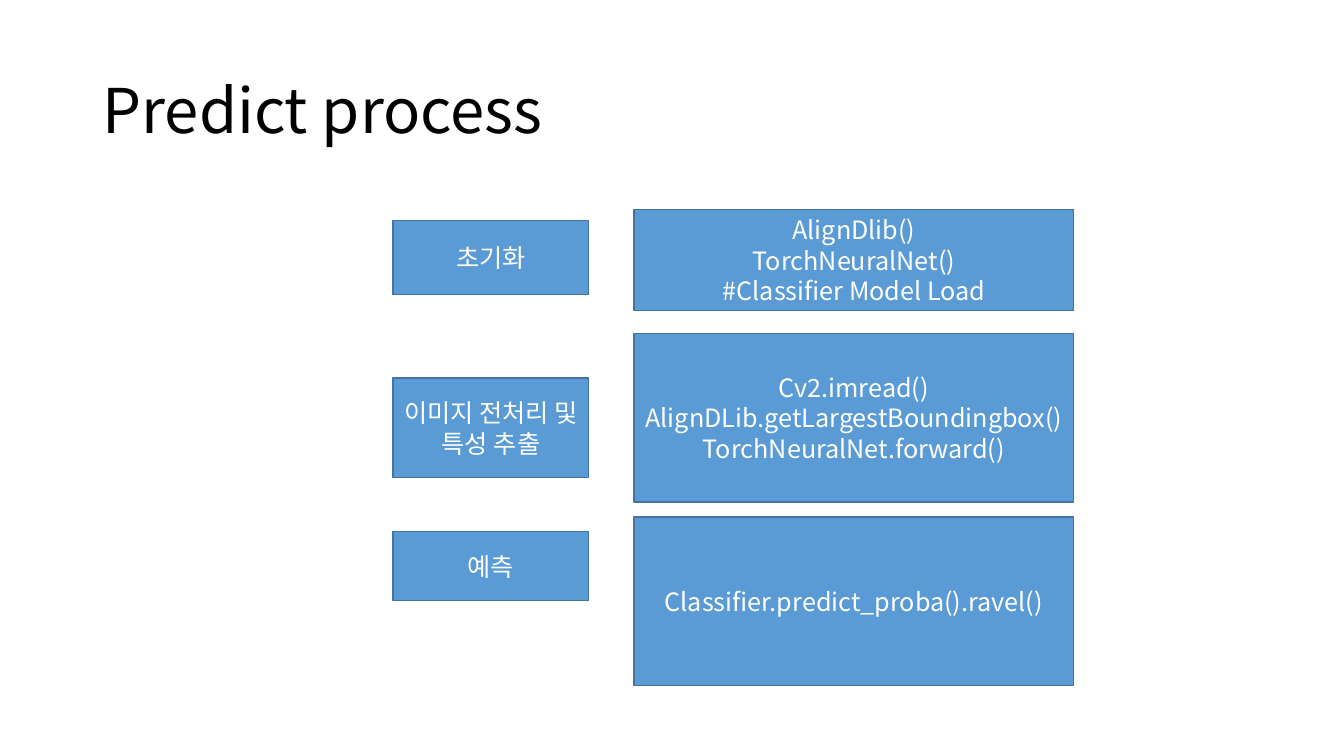
import pptx
import pptx.util
import pptx.dml.color
import pptx.enum.shapes
import pptx.enum.text
import pptx.oxml.ns
from lxml import etree

Inches = pptx.util.Inches
Pt = pptx.util.Pt
RGBColor = pptx.dml.color.RGBColor
ALIGN = pptx.enum.text.PP_ALIGN
qn = pptx.oxml.ns.qn

FONT = "Noto Sans CJK KR"
BLACK = RGBColor(0x00, 0x00, 0x00)
WHITE = RGBColor(0xFF, 0xFF, 0xFF)
BLUE = RGBColor(0x5B, 0x9B, 0xD5)
EDGE = RGBColor(0x43, 0x73, 0x9E)

# Left and width of the two columns
STEP = (3.9, 1.94)
CODE = (6.29, 4.36)

# Each row: step top, height, lines; code top, height, lines
ROWS = [
    (2.19, 0.73, ["초기화"],
     2.08, 1.0, ["AlignDlib()", "TorchNeuralNet()", "#Classifier Model Load"]),
    (3.75, 0.99, ["이미지 전처리 및", "특성 추출"],
     3.31, 1.67, ["Cv2.imread()", "AlignDLib.getLargestBoundingbox()",
                  "TorchNeuralNet.forward()"]),
    (5.27, 0.69, ["예측"],
     5.13, 1.67, ["Classifier.predict_proba().ravel()"]),
]


def write(frame, lines, size, color, align):
    """Fill a text frame, one paragraph per line."""
    frame.word_wrap = True
    frame.vertical_anchor = pptx.enum.text.MSO_ANCHOR.MIDDLE
    for i, line in enumerate(lines):
        para = frame.paragraphs[0] if i == 0 else frame.add_paragraph()
        para.text = line
        para.alignment = align
        para.font.name = FONT
        para.font.size = Pt(size)
        para.font.color.rgb = color
        # Hangul takes its font from the East Asian slot
        props = para._p.find(".//" + qn("a:defRPr"))
        etree.SubElement(props, qn("a:ea"), typeface=FONT)


def add_title(slide, text):
    box = slide.shapes.add_textbox(
        Inches(0.92), Inches(0.4), Inches(11.5), Inches(1.45))
    write(box.text_frame, [text], 44, BLACK, ALIGN.LEFT)
    box.text_frame.paragraphs[0].line_spacing = 0.9


def add_box(slide, column, top, height, lines):
    left, width = column
    box = slide.shapes.add_shape(
        pptx.enum.shapes.MSO_SHAPE.RECTANGLE,
        Inches(left), Inches(top), Inches(width), Inches(height))
    box.shadow.inherit = False
    box.fill.solid()
    box.fill.fore_color.rgb = BLUE
    box.line.color.rgb = EDGE
    box.line.width = Pt(1)
    write(box.text_frame, lines, 18, WHITE, ALIGN.CENTER)


def main():
    deck = pptx.Presentation()
    deck.slide_width = Inches(13.33)
    deck.slide_height = Inches(7.5)
    slide = deck.slides.add_slide(deck.slide_layouts[6])

    add_title(slide, "Predict process")

    # Steps on the left, their calls on the right
    for top, height, step, code_top, code_height, code in ROWS:
        add_box(slide, STEP, top, height, step)
        add_box(slide, CODE, code_top, code_height, code)

    deck.save("out.pptx")


if __name__ == "__main__":
    main()
